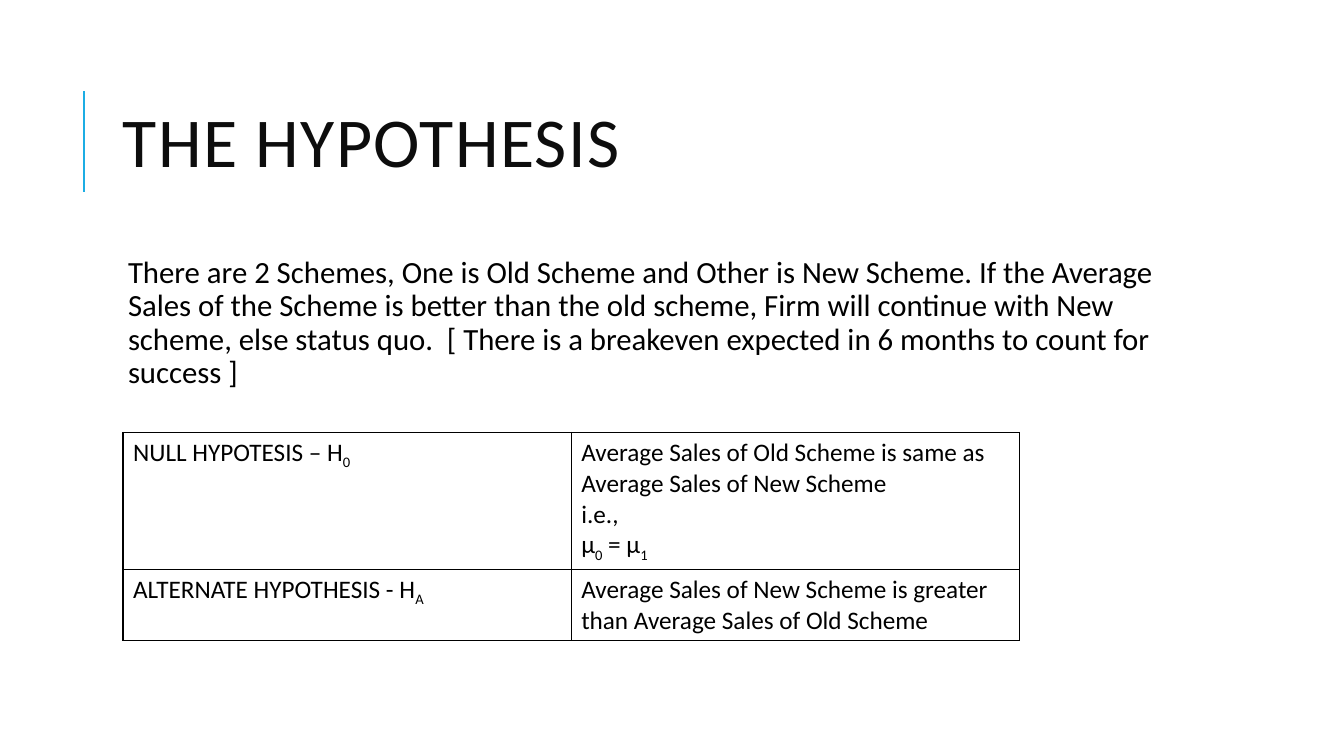
from dataclasses import dataclass

from lxml.etree import SubElement
from pptx import Presentation
from pptx.dml.color import RGBColor
from pptx.enum.shapes import MSO_CONNECTOR
from pptx.enum.text import MSO_ANCHOR
from pptx.oxml.ns import qn
from pptx.slide import Slide
from pptx.table import _Cell
from pptx.text.text import _Paragraph
from pptx.util import Inches, Pt

COLORS = {"accent": "1CADE4", "title": "0D0D0D", "text": "000000"}
FONT = "Calibri"


@dataclass(frozen=True)
class Piece:
    text: str
    subscript: bool = False


@dataclass(frozen=True)
class TextBlock:
    text: str
    top: float
    height: float
    left_inset: float
    inset: float
    size: float
    color: str
    line_spacing: float
    anchor: MSO_ANCHOR
    letter_spacing: int = 0


@dataclass(frozen=True)
class Hypothesis:
    height: float
    name: list[Piece]
    statement: list[list[Piece]]


BLOCKS = [
    TextBlock("THE HYPOTHESIS", 0.64, 1.64, 0.1, 0.05, 50, "title", 0.8,
              MSO_ANCHOR.MIDDLE, 100),
    TextBlock(
        "There are 2 Schemes, One is Old Scheme and Other is New Scheme. "
        "If the Average Sales of the Scheme is better than the old scheme, "
        "Firm will continue with New scheme, else status quo.  "
        "[ There is a breakeven expected in 6 months to count for success ]",
        2.5, 4.4, 0.15, 0.05, 22, "text", 0.9, MSO_ANCHOR.TOP),
]

HYPOTHESES = [
    Hypothesis(
        1.36,
        [Piece("NULL HYPOTESIS – H"), Piece("0", True)],
        [
            [Piece("Average Sales of Old Scheme is same as Average Sales of New Scheme")],
            [Piece("i.e.,")],
            [Piece("µ"), Piece("0", True), Piece(" = µ"), Piece("1", True)],
        ],
    ),
    Hypothesis(
        0.7,
        [Piece("ALTERNATE HYPOTHESIS - H"), Piece("A", True)],
        [[Piece("Average Sales of New Scheme is greater than Average Sales of Old Scheme")]],
    ),
]


def style(paragraph: _Paragraph, size: float, color: str) -> None:
    paragraph.font.name = FONT
    paragraph.font.size = Pt(size)
    paragraph.font.color.rgb = RGBColor.from_string(COLORS[color])


def add_block(slide: Slide, block: TextBlock) -> None:
    frame = slide.shapes.add_textbox(
        Inches(1.12), Inches(block.top), Inches(10.63), Inches(block.height)
    ).text_frame
    frame.word_wrap = True
    frame.vertical_anchor = block.anchor
    frame.margin_left = Inches(block.left_inset)
    frame.margin_top = frame.margin_right = frame.margin_bottom = Inches(block.inset)
    paragraph = frame.paragraphs[0]
    paragraph.line_spacing = block.line_spacing
    style(paragraph, block.size, block.color)
    run = paragraph.add_run()
    run.text = block.text
    if block.letter_spacing:
        run._r.get_or_add_rPr().set("spc", str(block.letter_spacing))


def add_accent_line(slide: Slide) -> None:
    accent = slide.shapes.add_connector(
        MSO_CONNECTOR.STRAIGHT, Inches(0.83), Inches(1.9), Inches(0.83), Inches(0.9)
    )
    accent.line.color.rgb = RGBColor.from_string(COLORS["accent"])
    accent.line.width = Pt(1.5)
    SubElement(accent._element.spPr, qn("a:effectLst"))


def fill_cell(cell: _Cell, lines: list[list[Piece]]) -> None:
    properties = cell._tc.get_or_add_tcPr()
    for side in ("a:lnL", "a:lnR", "a:lnT", "a:lnB"):
        border = SubElement(properties, qn(side), w=str(Pt(1)))
        fill = SubElement(border, qn("a:solidFill"))
        SubElement(fill, qn("a:srgbClr"), val=COLORS["text"])
    cell.fill.background()
    frame = cell.text_frame
    for index, pieces in enumerate(lines):
        paragraph = frame.add_paragraph() if index else frame.paragraphs[0]
        style(paragraph, 18, "text")
        for piece in pieces:
            run = paragraph.add_run()
            run.text = piece.text
            if piece.subscript:
                run._r.get_or_add_rPr().set("baseline", "-25000")


def add_hypotheses(slide: Slide) -> None:
    height = sum(hypothesis.height for hypothesis in HYPOTHESES)
    table = slide.shapes.add_table(
        len(HYPOTHESES), 2, Inches(1.22), Inches(4.29), Inches(8.89), Inches(height)
    ).table
    table.first_row = False
    table.horz_banding = False
    for row, hypothesis in zip(table.rows, HYPOTHESES):
        row.height = Inches(hypothesis.height)
        for cell, lines in zip(row.cells, ([hypothesis.name], hypothesis.statement)):
            fill_cell(cell, lines)


presentation = Presentation()
presentation.slide_width = Inches(13.33)
presentation.slide_height = Inches(7.5)
hypothesis_slide = presentation.slides.add_slide(presentation.slide_layouts[6])
add_accent_line(hypothesis_slide)
for text_block in BLOCKS:
    add_block(hypothesis_slide, text_block)
add_hypotheses(hypothesis_slide)
presentation.save("out.pptx")
